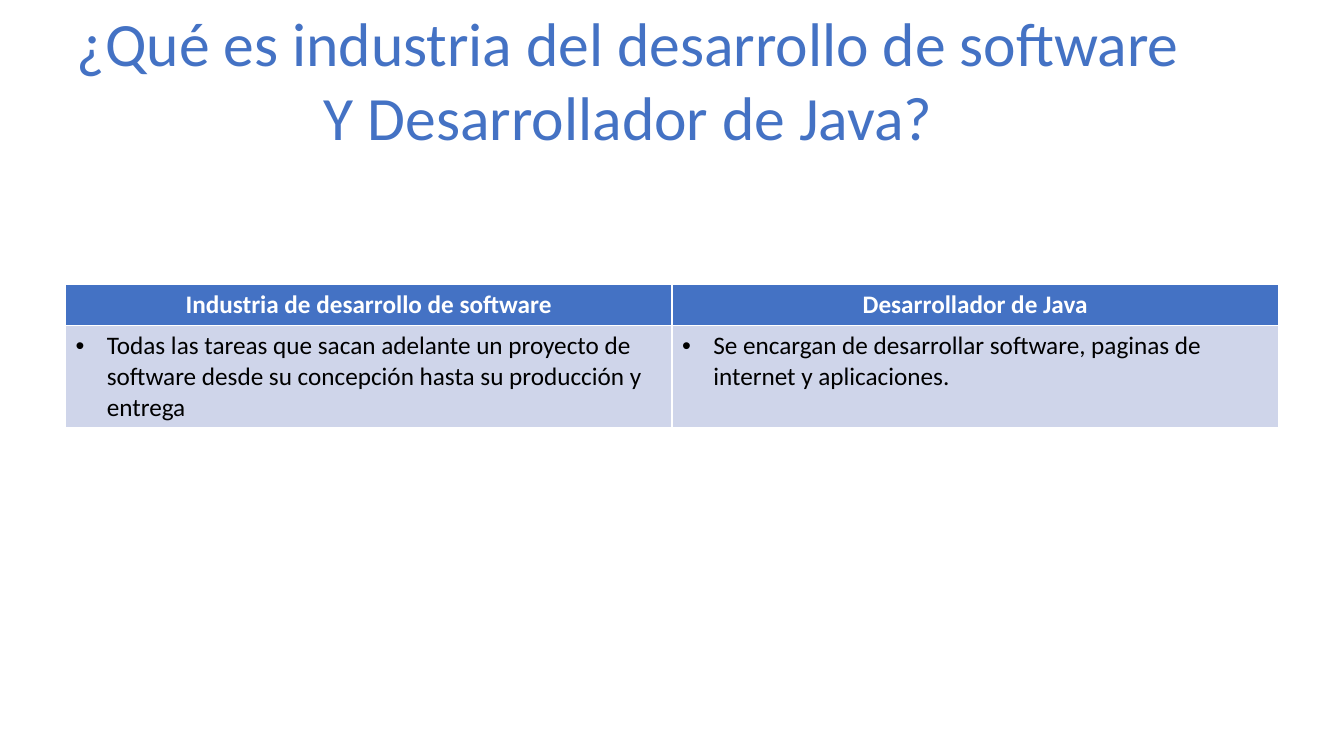
from pptx import Presentation
from pptx.util import Inches, Pt
from pptx.dml.color import RGBColor
from pptx.enum.text import PP_ALIGN
from lxml.etree import SubElement
from pptx.oxml.ns import qn

COLORS = {"blue": "4472C4", "pale": "CFD5EA", "white": "FFFFFF", "black": "000000"}
TITLE = ["¿Qué es industria del desarrollo de software", "Y Desarrollador de Java?"]
ROWS = [
    ["Industria de desarrollo de software", "Desarrollador de Java"],
    ["Todas las tareas que sacan adelante un proyecto de software desde su "
     "concepción hasta su producción y entrega",
     "Se encargan de desarrollar software, paginas de internet y aplicaciones."],
]


def color(name):
    return RGBColor.from_string(COLORS[name])


def style(para, size, name, bold=False):
    for run in para.runs:
        font = run.font
        font.name, font.size, font.bold = "Calibri", Pt(size), bold
        font.color.rgb = color(name)


def bullet(para):
    props = para._p.get_or_add_pPr()
    props.set("marL", str(Inches(0.31)))
    props.set("indent", str(-Inches(0.31)))
    SubElement(props, qn("a:buFont")).set("typeface", "Arial")
    SubElement(props, qn("a:buChar")).set("char", "•")


def add_title(slide, left, top, width, height):
    box = slide.shapes.add_textbox(
        Inches(left), Inches(top), Inches(width), Inches(height))
    frame = box.text_frame
    frame.word_wrap = False
    frame.text = "\n".join(TITLE)
    for para in frame.paragraphs:
        para.alignment = PP_ALIGN.CENTER
        style(para, 44, "blue")


def add_grid(slide, left, top, width, height):
    table = slide.shapes.add_table(
        len(ROWS), len(ROWS[0]), Inches(left), Inches(top),
        Inches(width), Inches(height)).table
    head = 0.41
    table.rows[0].height = Inches(head)
    table.rows[1].height = Inches(height - head)
    for row, texts in enumerate(ROWS):
        for col, text in enumerate(texts):
            cell = table.cell(row, col)
            cell.fill.solid()
            cell.fill.fore_color.rgb = color("pale" if row else "blue")
            cell.text_frame.text = text
            para = cell.text_frame.paragraphs[0]
            if row:
                bullet(para)
                style(para, 18, "black")
            else:
                para.alignment = PP_ALIGN.CENTER
                style(para, 18, "white", True)


deck = Presentation()
deck.slide_width, deck.slide_height = Inches(13.33), Inches(7.5)
slide = deck.slides.add_slide(deck.slide_layouts[6])
add_grid(slide, 0.65, 2.82, 12.03, 1.41)
add_title(slide, 0.6, 0, 11.27, 1.58)
deck.save("out.pptx")
